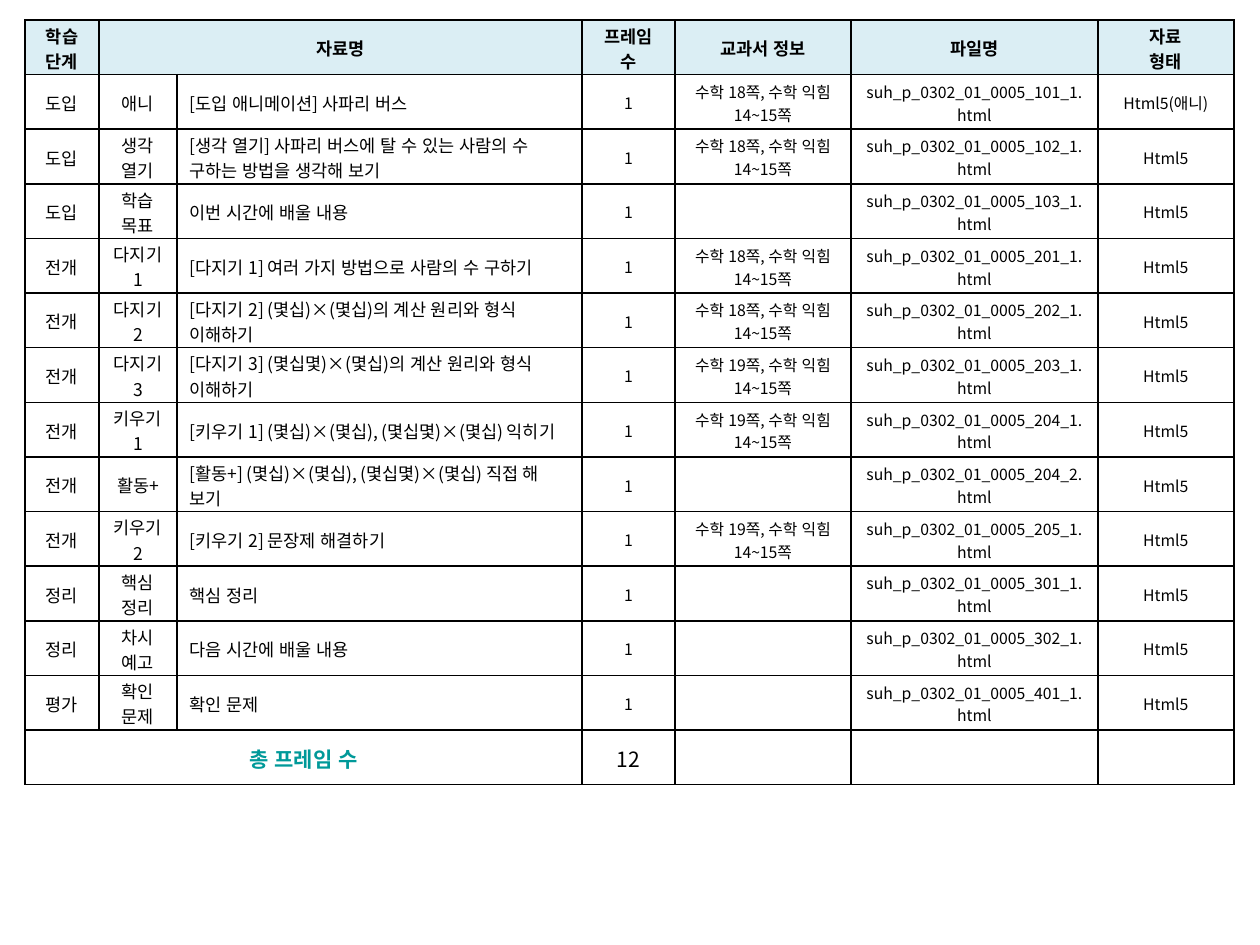
from lxml.etree import SubElement
from pptx import Presentation
from pptx.dml.color import RGBColor
from pptx.enum.lang import MSO_LANGUAGE_ID as Language
from pptx.enum.text import MSO_ANCHOR as Anchor, PP_ALIGN as Align
from pptx.oxml.ns import qn
from pptx.util import Pt

SCALE = 914400 / 126
BLACK = RGBColor(0x00, 0x00, 0x00)
WHITE = RGBColor(0xFF, 0xFF, 0xFF)
PALE_BLUE = RGBColor(0xDB, 0xEE, 0xF4)
TEAL = RGBColor(0x00, 0x99, 0x99)
FONT = "Noto Sans CJK KR"

COLUMN_WIDTHS = [74, 78, 405, 93, 176, 247, 136]
COLUMN_SIZES = [10, 10, 10, 9, 9, 9, 9]
TITLE_COLUMN = 2
HEADERS = ["학습 단계", "자료명", "", "프레임 수", "교과서 정보", "파일명", "자료\n형태"]
LESSONS = [
    ("도입", "애니", "[도입 애니메이션] 사파리 버스", 18, "101_1", "Html5(애니)"),
    ("도입", "생각 열기", "[생각 열기] 사파리 버스에 탈 수 있는 사람의 수 구하는 방법을 생각해 보기", 18, "102_1", "Html5"),
    ("도입", "학습 목표", "이번 시간에 배울 내용", None, "103_1", "Html5"),
    ("전개", "다지기 1", "[다지기 1] 여러 가지 방법으로 사람의 수 구하기", 18, "201_1", "Html5"),
    ("전개", "다지기 2", "[다지기 2] (몇십)×(몇십)의 계산 원리와 형식 이해하기", 18, "202_1", "Html5"),
    ("전개", "다지기 3", "[다지기 3] (몇십몇)×(몇십)의 계산 원리와 형식 이해하기", 19, "203_1", "Html5"),
    ("전개", "키우기1", "[키우기 1] (몇십)×(몇십), (몇십몇)×(몇십) 익히기", 19, "204_1", "Html5"),
    ("전개", "활동+", "[활동+] (몇십)×(몇십), (몇십몇)×(몇십) 직접 해 보기", None, "204_2", "Html5"),
    ("전개", "키우기2", "[키우기 2] 문장제 해결하기", 19, "205_1", "Html5"),
    ("정리", "핵심 정리", "핵심 정리", None, "301_1", "Html5"),
    ("정리", "차시 예고", "다음 시간에 배울 내용", None, "302_1", "Html5"),
    ("평가", "확인 문제", "확인 문제", None, "401_1", "Html5"),
]


def px(length):
    """Turn pixels into EMU."""
    return round(length * SCALE)


def write_text(frame, text, size=10, bold=False, color=BLACK, align=Align.CENTER):
    """Fill a text frame with one paragraph per line of text."""
    frame.word_wrap = True
    for index, line in enumerate(text.split("\n")):
        paragraph = frame.add_paragraph() if index else frame.paragraphs[0]
        paragraph.alignment = align
        if not line:
            SubElement(paragraph._p, qn("a:endParaRPr"), sz=str(size * 100))
            continue
        run = paragraph.add_run()
        run.text = line
        font = run.font
        font.size, font.bold, font.name = Pt(size), bold, FONT
        font.color.rgb = color
        font.language_id = Language.KOREAN
        SubElement(run._r.get_or_add_rPr(), qn("a:ea"), typeface=FONT)


class SlideBuilder:
    """Hold the table style and the current slide."""

    def __init__(self, slide):
        """Start on the given slide."""
        self.slide = slide
        self.border_color = BLACK
        self.border_width = Pt(1)

    def table(self, left, top, height, widths, row_count):
        """Add a plain table with equal rows and return it."""
        shape = self.slide.shapes.add_table(
            row_count, len(widths), px(left), px(top), px(sum(widths)), px(height))
        table = shape.table
        table.first_row = table.horz_banding = False
        for column, width in zip(table.columns, widths):
            column.width = px(width)
        for row in table.rows:
            row.height = px(height) // row_count
        return table

    def cell(self, cell, text, fill=None, **text_format):
        """Write, border and fill one cell."""
        cell.vertical_anchor = Anchor.MIDDLE
        cell.margin_top, cell.margin_bottom = px(2), 0
        write_text(cell.text_frame, text, **text_format)
        properties = cell._tc.get_or_add_tcPr()
        for side in ("lnL", "lnR", "lnT", "lnB"):
            line = SubElement(properties, qn(f"a:{side}"), w=str(self.border_width))
            solid = SubElement(line, qn("a:solidFill"))
            SubElement(solid, qn("a:srgbClr"), val=str(self.border_color))
        if fill is None:
            cell.fill.background()
        else:
            cell.fill.solid()
            cell.fill.fore_color.rgb = fill


def lesson_texts(step, section, title, page, code, kind):
    """Expand one lesson into its row of cell texts."""
    pages = f"수학 {page}쪽, 수학 익힘 14~15쪽" if page else ""
    return [step, section, title, "1", pages, f"suh_p_0302_01_0005_{code}.html", kind]


def main():
    """Build the lesson frame table."""
    presentation = Presentation()
    presentation.slide_width, presentation.slide_height = px(1260), px(945)
    slide = presentation.slides.add_slide(presentation.slide_layouts[6])
    builder = SlideBuilder(slide)
    total_row = len(LESSONS) + 1
    table = builder.table(25, 20, 765, COLUMN_WIDTHS, total_row + 1)

    for column, text in enumerate(HEADERS):
        builder.cell(table.cell(0, column), text, fill=PALE_BLUE, bold=True)

    for row, lesson in enumerate(LESSONS, start=1):
        fill = WHITE if row == len(LESSONS) else None
        for column, text in enumerate(lesson_texts(*lesson)):
            align = Align.LEFT if column == TITLE_COLUMN else Align.CENTER
            builder.cell(table.cell(row, column), text, fill=fill,
                         size=COLUMN_SIZES[column], align=align)

    totals = ["총 프레임 수", "", "", str(len(LESSONS)), "", "", ""]
    for column, text in enumerate(totals):
        builder.cell(table.cell(total_row, column), text, fill=WHITE, size=12,
                     bold=column == 0, color=BLACK if column else TEAL)

    table.cell(0, 1).merge(table.cell(0, 2))
    table.cell(total_row, 0).merge(table.cell(total_row, 2))
    presentation.save("out.pptx")


if __name__ == "__main__":
    main()
